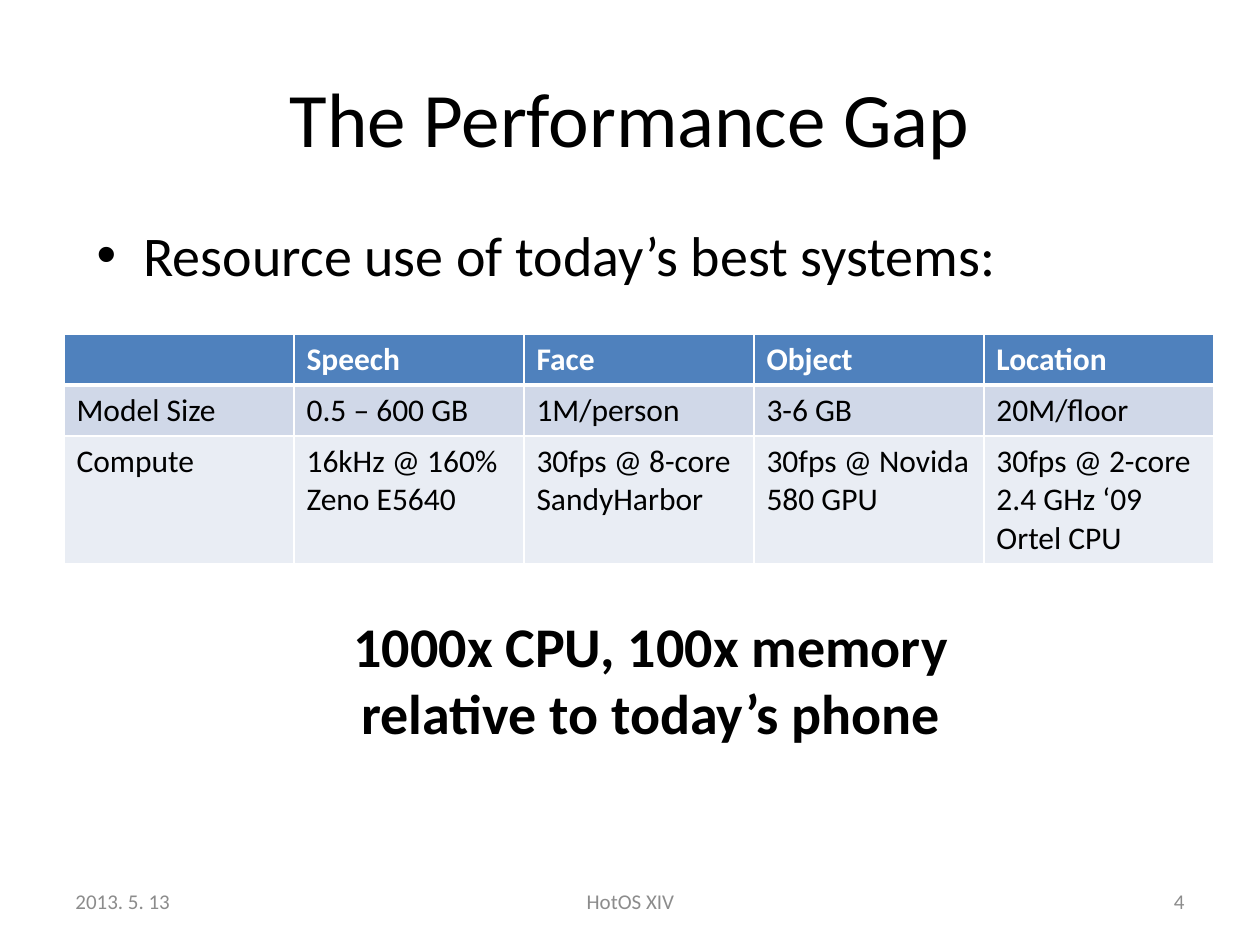
from lxml import etree
from pptx import Presentation
from pptx.dml.color import RGBColor
from pptx.enum.text import MSO_ANCHOR, MSO_AUTO_SIZE, PP_ALIGN
from pptx.oxml.ns import qn
from pptx.util import Emu, Pt

LEFT, CENTER, RIGHT = PP_ALIGN.LEFT, PP_ALIGN.CENTER, PP_ALIGN.RIGHT
TOP, MIDDLE = MSO_ANCHOR.TOP, MSO_ANCHOR.MIDDLE
FONT = "Calibri"
BLACK = RGBColor(0x00, 0x00, 0x00)
WHITE = RGBColor(0xFF, 0xFF, 0xFF)
GRAY = RGBColor(0x8C, 0x8C, 0x8C)
HEADER_BLUE = RGBColor(0x4F, 0x81, 0xBD)
ROW_FILLS = [HEADER_BLUE, RGBColor(0xD0, 0xD8, 0xE8), RGBColor(0xE9, 0xED, 0xF4)]

# Content
TITLE = "The Performance Gap"
BULLET = "Resource use of today’s best systems:"
CONCLUSION = "1000x CPU, 100x memory\nrelative to today’s phone"
RESOURCES = [
    ["", "Speech", "Face", "Object", "Location"],
    ["Model Size", "0.5 – 600 GB", "1M/person", "3-6 GB", "20M/floor"],
    ["Compute", "16kHz @ 160% Zeno E5640", "30fps @ 8-core SandyHarbor",
     "30fps @ Novida 580 GPU", "30fps @ 2-core 2.4 GHz ‘09 Ortel CPU"],
]
FOOTERS = [  # text, left, width, alignment
    ("2013. 5. 13", 63, 294, LEFT),
    ("HotOS XIV", 431, 399, CENTER),
    ("4", 903, 294, RIGHT),
]

# Layout in px
TITLE_AREA = (63, 38, 1134, 157)
BODY_AREA = (84, 214, 1134, 624)
TABLE_LEFT, TABLE_TOP, COLUMN_WIDTH = 64, 334, 230
ROW_HEIGHTS = [51, 51, 128]
FOOTER_TOP, FOOTER_HEIGHT = 876, 50


def px(length):
    return Emu(round(length * 914400 / 126))


def place(shape, area):
    shape.left, shape.top, shape.width, shape.height = map(px, area)


def style(para, size, color, align=LEFT, bold=False):
    para.alignment = align
    para.font.name, para.font.size, para.font.bold = FONT, Pt(size), bold
    para.font.color.rgb = color


def prepare_frame(shape, anchor):
    frame = shape.text_frame
    frame.word_wrap = True
    frame.auto_size = MSO_AUTO_SIZE.NONE
    frame.vertical_anchor = anchor
    return frame


def set_bullet(para, indent, char=None):
    properties = para._p.get_or_add_pPr()
    properties.set("marL", str(indent))
    properties.set("indent", str(-indent))
    if char:
        etree.SubElement(properties, qn("a:buChar")).set("char", char)
    else:
        etree.SubElement(properties, qn("a:buNone"))


def set_borders(cell, widths):
    properties = cell._tc.get_or_add_tcPr()
    for side, width in widths.items():
        line = etree.SubElement(properties, qn(f"a:ln{side}"), w=str(Pt(width)))
        fill = etree.SubElement(line, qn("a:solidFill"))
        etree.SubElement(fill, qn("a:srgbClr"), val=str(WHITE))


deck = Presentation()
deck.slide_width, deck.slide_height = px(1260), px(945)
slide = deck.slides.add_slide(deck.slide_layouts[1])

# Title
title = slide.shapes.title
place(title, TITLE_AREA)
title_para = prepare_frame(title, MIDDLE).paragraphs[0]
title_para.text = TITLE
style(title_para, 44, BLACK, CENTER)

# Bullet above the table and conclusion below it
body = slide.placeholders[1]
place(body, BODY_AREA)
frame = prepare_frame(body, TOP)
bullet = frame.paragraphs[0]
bullet.text = BULLET
set_bullet(bullet, px(47), "•")
bullet.space_before = Pt(0)
style(bullet, 32, BLACK)
conclusion = frame.add_paragraph()
conclusion.text = CONCLUSION
set_bullet(conclusion, 0)
conclusion.space_before = Pt(185)
style(conclusion, 32, BLACK, CENTER, bold=True)

# Resource table
column_count = len(RESOURCES[0])
table = slide.shapes.add_table(
    len(RESOURCES), column_count, px(TABLE_LEFT), px(TABLE_TOP),
    px(COLUMN_WIDTH * column_count), px(sum(ROW_HEIGHTS))).table
for column in table.columns:
    column.width = px(COLUMN_WIDTH)
for r, texts in enumerate(RESOURCES):
    table.rows[r].height = px(ROW_HEIGHTS[r])
    is_header = r == 0
    for c, text in enumerate(texts):
        cell = table.cell(r, c)
        set_borders(cell, {"L": 1, "R": 1, "T": 3 if r == 1 else 1,
                           "B": 3 if is_header else 1})
        cell.fill.solid()
        cell.fill.fore_color.rgb = ROW_FILLS[r]
        para = cell.text_frame.paragraphs[0]
        para.text = text
        style(para, 18, WHITE if is_header else BLACK, bold=is_header)

# Footer line
for text, left, width, align in FOOTERS:
    box = slide.shapes.add_textbox(px(left), px(FOOTER_TOP), px(width), px(FOOTER_HEIGHT))
    para = prepare_frame(box, MIDDLE).paragraphs[0]
    para.text = text
    style(para, 12, GRAY, align)

deck.save("out.pptx")
